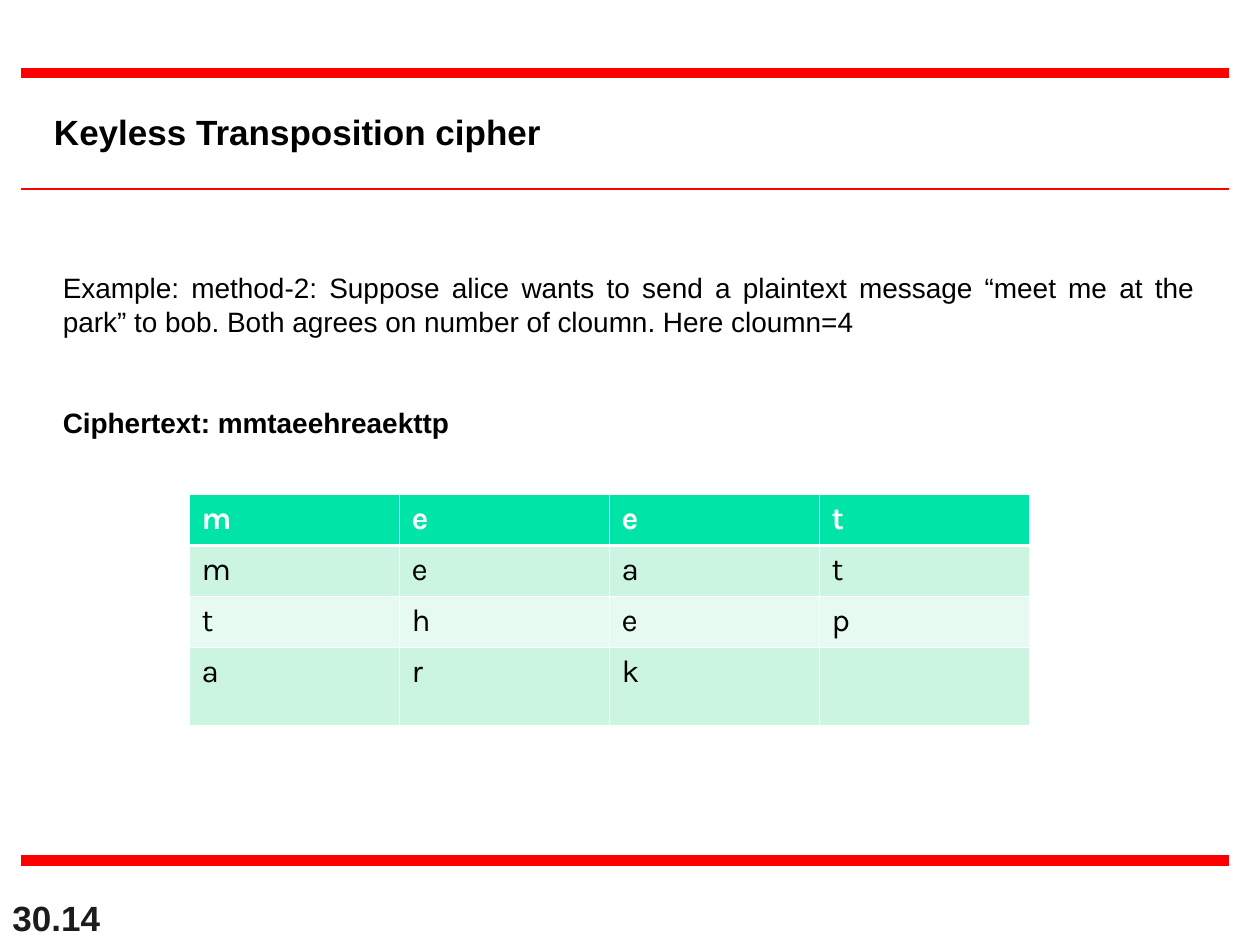
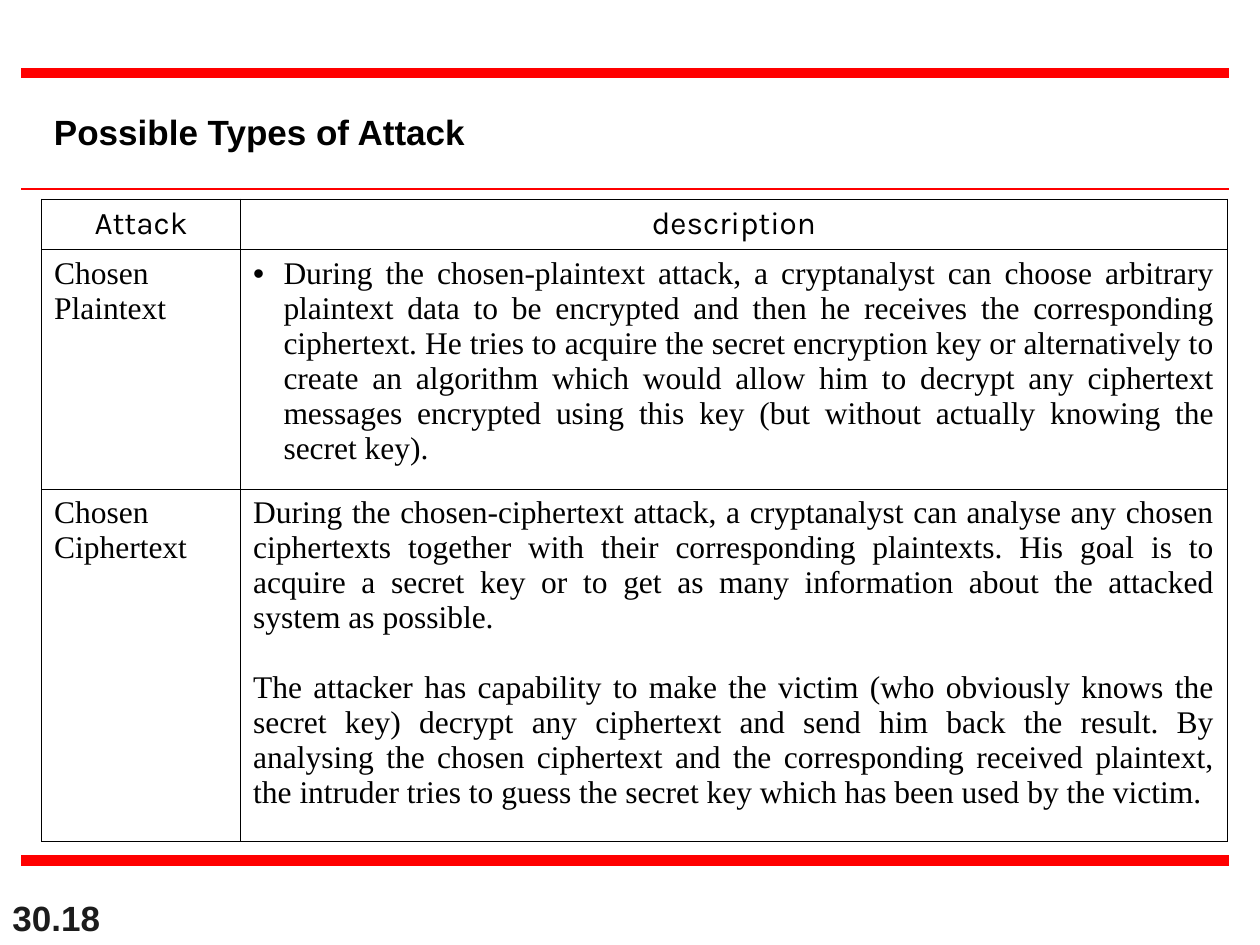
from lxml import etree
from pptx import Presentation
from pptx.dml.color import RGBColor
from pptx.enum.shapes import MSO_CONNECTOR
from pptx.enum.text import MSO_ANCHOR, PP_ALIGN
from pptx.oxml.ns import qn
from pptx.util import Inches, Pt

STRAIGHT = MSO_CONNECTOR.STRAIGHT
TOP, BOTTOM = MSO_ANCHOR.TOP, MSO_ANCHOR.BOTTOM
CENTER, JUSTIFY = PP_ALIGN.CENTER, PP_ALIGN.JUSTIFY

COLORS = {
    "rule": "FF0000",
    "text": "000000",
    "number": "1C1C1C",
    "white": "FFFFFF",
    "header": "00E4A8",
    "band": "CBF5E1",
    "light_band": "E7FAF1",
}
TITLE = {"size": Pt(20), "name": "Arial", "bold": True}
BODY = {"size": Pt(16), "name": "Arial", "bold": False}
GRID = {"size": Pt(18), "name": "Karla", "bold": False}
PROSE = {"size": Pt(18), "name": "Times New Roman", "bold": False}
BODY_LINE, PROSE_LINE = Pt(19.25), Pt(20)
THIN, THICK = 0.45, 1.47

RULES = [(0.58, 6), (1.5, 1.5), (6.83, 6)]
RULE_LEFT, RULE_RIGHT = 0.17, 9.75

LETTERS = ["meet", "meat", "thep", "ark"]
ATTACKS = [
    ("Chosen Plaintext", [
        "During the chosen-plaintext attack, a cryptanalyst can choose arbitrary "
        "plaintext data to be encrypted and then he receives the corresponding "
        "ciphertext. He tries to acquire the secret encryption key or alternatively "
        "to create an algorithm which would allow him to decrypt any ciphertext "
        "messages encrypted using this key (but without actually knowing the "
        "secret key).",
    ]),
    ("Chosen Ciphertext", [
        "During the chosen-ciphertext attack, a cryptanalyst can analyse any chosen "
        "ciphertexts together with their corresponding plaintexts. His goal is "
        "to acquire a secret key or to get as many information about the attacked "
        "system as possible.",
        "The attacker has capability to make the victim (who obviously knows "
        "the secret key) decrypt any ciphertext and send him back the result. By "
        "analysing the chosen ciphertext and the corresponding received plaintext, "
        "the intruder tries to guess the secret key which has been used by the victim.",
    ]),
]


def rgb(color):
    return RGBColor.from_string(COLORS[color])


def write(paragraph, text, font, color="text", **layout):
    paragraph.text = text
    for key, value in layout.items():
        setattr(paragraph, key, value)
    for key, value in font.items():
        setattr(paragraph.font, key, value)
    paragraph.font.color.rgb = rgb(color)


def add_text_frame(slide, box, anchor=TOP):
    frame = slide.shapes.add_textbox(*map(Inches, box)).text_frame
    frame.word_wrap = True
    frame.vertical_anchor = anchor
    return frame


def add_rule(slide, y, width):
    rule = slide.shapes.add_connector(
        STRAIGHT, Inches(RULE_LEFT), Inches(y), Inches(RULE_RIGHT), Inches(y))
    rule.line.color.rgb = rgb("rule")
    rule.line.width = Pt(width)
    etree.SubElement(rule.element.spPr, qn("a:effectLst"))


def add_base_slide(deck, title, number):
    slide = deck.slides.add_slide(deck.slide_layouts[6])
    number_frame = add_text_frame(slide, (0, 7, 2.08, 0.5), BOTTOM)
    write(number_frame.paragraphs[0], number, TITLE, "number")
    for y, width in RULES:
        add_rule(slide, y, width)
    title_frame = add_text_frame(slide, (0.33, 0.83, 6.25, 0.44))
    write(title_frame.paragraphs[0], title, TITLE, line_spacing=Pt(24))
    return slide


def add_grid(slide, left, top, widths, heights):
    grid = slide.shapes.add_table(
        len(heights), len(widths), Inches(left), Inches(top),
        Inches(sum(widths)), Inches(sum(heights))).table
    grid.first_row = grid.horz_banding = False
    for column, width in zip(grid.columns, widths):
        column.width = Inches(width)
    for row, height in zip(grid.rows, heights):
        row.height = Inches(height)
    return grid


def style_cell(cell, border, fill=None, **widths):
    properties = cell._tc.get_or_add_tcPr()
    for side in "LRTB":
        line = etree.SubElement(properties, qn(f"a:ln{side}"),
                                w=str(Pt(widths.get(side, THIN))))
        solid = etree.SubElement(line, qn("a:solidFill"))
        etree.SubElement(solid, qn("a:srgbClr"), val=COLORS[border])
    if fill:
        cell.fill.solid()
        cell.fill.fore_color.rgb = rgb(fill)
    else:
        cell.fill.background()


def add_bullet(paragraph, indent):
    properties = paragraph._p.get_or_add_pPr()
    properties.set("marL", str(Inches(indent)))
    properties.set("indent", str(-Inches(indent)))
    etree.SubElement(properties, qn("a:buFont"), typeface="Arial")
    etree.SubElement(properties, qn("a:buChar"), char="•")


def add_example(slide, box):
    frame = add_text_frame(slide, box)
    write(frame.paragraphs[0],
          "Example: method-2: Suppose alice wants to send a plaintext message "
          "“meet me at the park” to bob. Both agrees on number of cloumn. "
          "Here cloumn=4",
          BODY, alignment=JUSTIFY, line_spacing=BODY_LINE)
    write(frame.add_paragraph(), "Ciphertext: mmtaeehreaekttp",
          {**BODY, "bold": True}, alignment=JUSTIFY,
          line_spacing=BODY_LINE, space_before=2 * BODY_LINE)


def add_letter_grid(slide, left, top):
    grid = add_grid(slide, left, top, [1.667] * 4, [0.41, 0.4, 0.41, 0.62])
    fills = ["header", "band", "light_band", "band"]
    borders = [{"B": THICK}, {"T": THICK}, {}, {}]
    for r, letters in enumerate(LETTERS):
        is_header = r == 0
        for c in range(4):
            cell = grid.cell(r, c)
            style_cell(cell, "white", fills[r], **borders[r])
            write(cell.text_frame.paragraphs[0], letters[c:c + 1],
                  {**GRID, "bold": is_header}, "white" if is_header else "text")


def add_attack_table(slide, left, top):
    grid = add_grid(slide, left, top, [1.58, 7.83], [0.4, 1.9, 2.8])
    for cell in grid.iter_cells():
        style_cell(cell, "text")
    for c, heading in enumerate(["Attack", "description"]):
        write(grid.cell(0, c).text_frame.paragraphs[0], heading, GRID,
              alignment=CENTER)
    for r, (attack, descriptions) in enumerate(ATTACKS, 1):
        write(grid.cell(r, 0).text_frame.paragraphs[0], attack, PROSE,
              line_spacing=PROSE_LINE)
        frame = grid.cell(r, 1).text_frame
        for i, description in enumerate(descriptions):
            paragraph = frame.add_paragraph() if i else frame.paragraphs[0]
            if r == 1:
                add_bullet(paragraph, 0.24)
            write(paragraph, description, PROSE, alignment=JUSTIFY,
                  line_spacing=PROSE_LINE, space_before=PROSE_LINE if i else None)


def build_cipher_slide(deck):
    slide = add_base_slide(deck, "Keyless Transposition cipher", "30.14")
    add_example(slide, (0.4, 2.1, 9.18, 1.7))
    add_letter_grid(slide, 1.5, 3.92)


def build_attack_slide(deck):
    slide = add_base_slide(deck, "Possible Types of Attack", "30.18")
    add_attack_table(slide, 0.33, 1.58)


def main():
    deck = Presentation()
    deck.slide_width, deck.slide_height = Inches(10), Inches(7.5)
    build_cipher_slide(deck)
    build_attack_slide(deck)
    deck.save("out.pptx")


if __name__ == "__main__":
    main()
